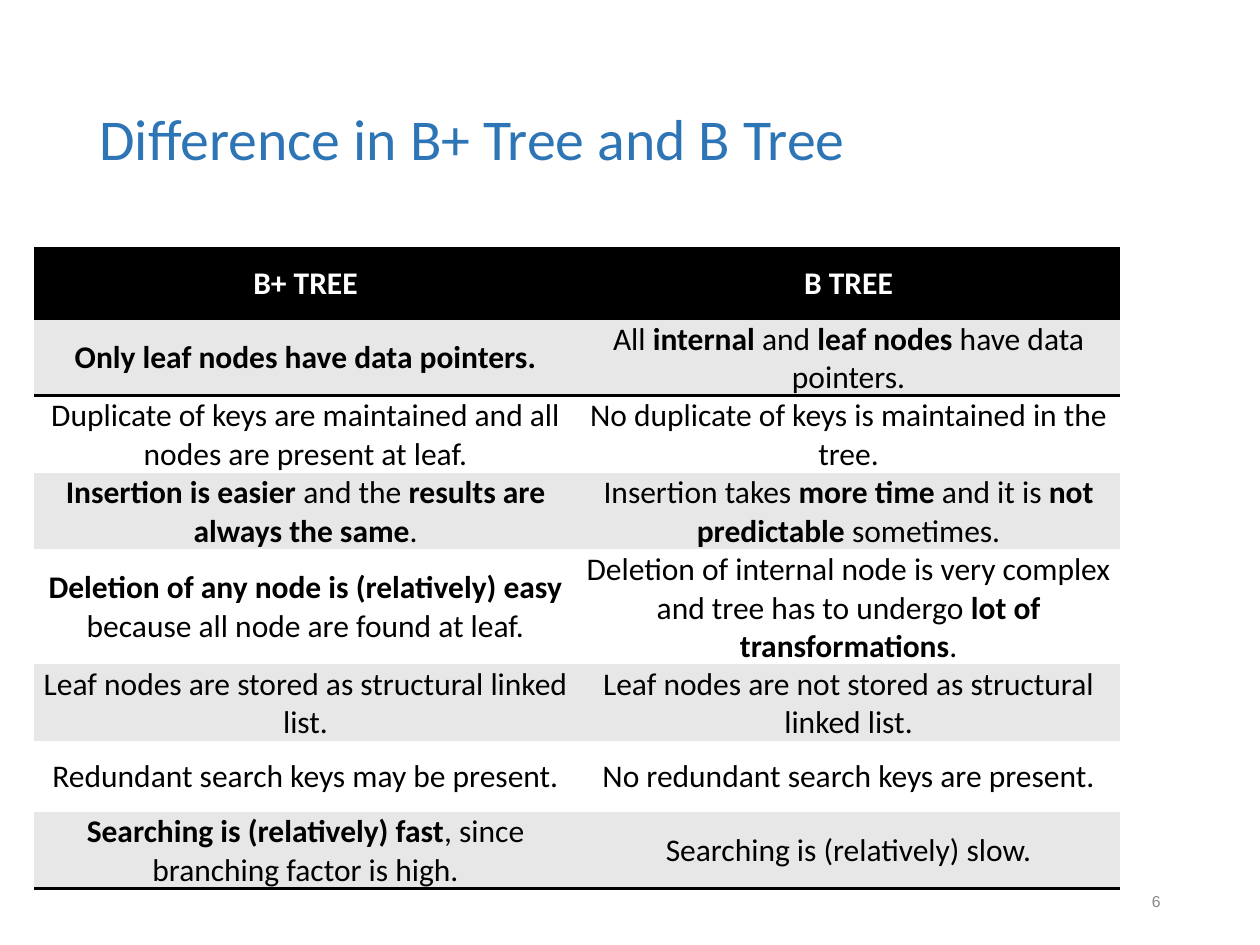
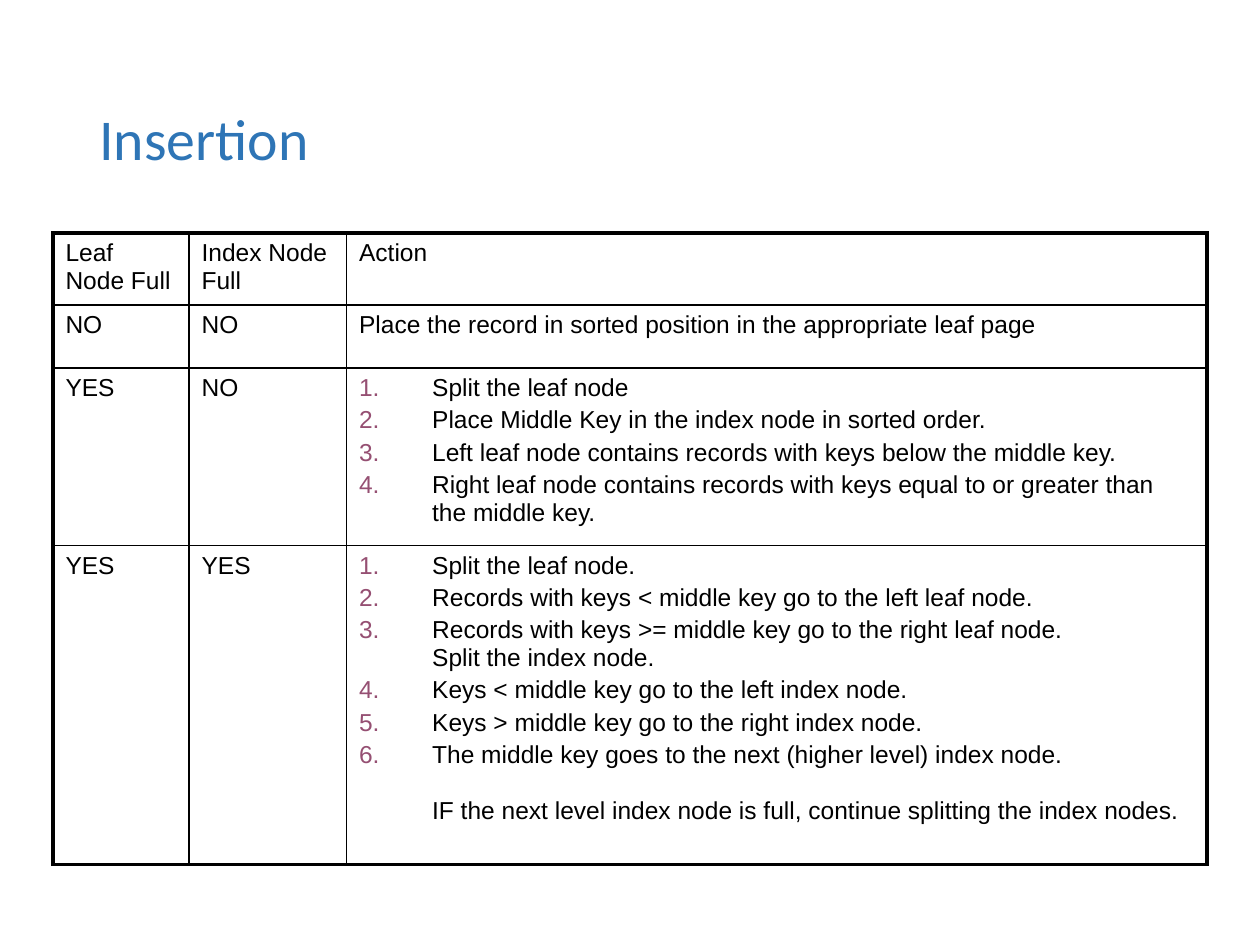
from lxml.etree import SubElement
from pptx import Presentation
from pptx.dml.color import RGBColor
from pptx.enum.text import MSO_ANCHOR, PP_ALIGN
from pptx.oxml.ns import qn
from pptx.util import Inches, Pt

COLORS = {"title": "2E75B6", "ink": "000000", "paper": "FFFFFF",
          "band": "E7E7E7", "number": "954F72", "page": "898989"}
TITLES = ["Difference in B+ Tree and B Tree", "Insertion"]


def add_text(p, text, size, font, color, bold=False):
    """Add runs to p; *stars* mark bold parts, a newline is a line break."""
    for i, part in enumerate(text.split("*")):
        for j, line in enumerate(part.split("\n")):
            if j:
                p.add_line_break()
            r = p.add_run()
            r.text = line
            r.font.size = Pt(size)
            r.font.name = font
            r.font.bold = bold or i % 2 == 1
            r.font.color.rgb = RGBColor.from_string(COLORS[color])


def style_cell(cell, fill, borders, margins):
    """Set margins, the left, right, top and bottom line widths, and the fill."""
    cell.margin_left, cell.margin_right, cell.margin_top, cell.margin_bottom = map(Inches, margins)
    tcPr = cell._tc.get_or_add_tcPr()
    for side, width in zip("LRTB", borders):
        ln = SubElement(tcPr, qn(f"a:ln{side}"), w=str(Pt(width)))
        if width:
            line_fill = SubElement(ln, qn("a:solidFill"))
            SubElement(line_fill, qn("a:srgbClr"), val=COLORS["ink"])
        else:
            SubElement(ln, qn("a:noFill"))
    cell.fill.solid()
    cell.fill.fore_color.rgb = RGBColor.from_string(COLORS[fill])


prs = Presentation()
prs.slide_width, prs.slide_height = Inches(10), Inches(7.5)

# Titles
for title in TITLES:
    s = prs.slides.add_slide(prs.slide_layouts[6])
    tf = s.shapes.add_textbox(Inches(0.69), Inches(0.4), Inches(8.62), Inches(1.45)).text_frame
    tf.word_wrap = True
    tf.vertical_anchor = MSO_ANCHOR.MIDDLE
    p = tf.paragraphs[0]
    p.line_spacing = 0.9
    add_text(p, title, 33, "Calibri", "title")
compare, insertion = prs.slides

# Comparison table
comparison = [
    ("B+ TREE", "B TREE"),
    ("*Only leaf nodes have data pointers.*",
     "All *internal* and *leaf nodes* have data pointers."),
    ("Duplicate of keys are maintained and all nodes are present at leaf.",
     "No duplicate of keys is maintained in the tree."),
    ("*Insertion is easier* and the *results are always the same*.",
     "Insertion takes *more time* and it is *not predictable* sometimes."),
    ("*Deletion of any node is (relatively) easy *because all node are found at leaf.",
     "Deletion of internal node is very complex and tree has to undergo "
     "*lot of transformations*."),
    ("Leaf nodes are stored as structural linked list.",
     "Leaf nodes are not stored as structural linked list."),
    ("Redundant search keys may be present.", "No redundant search keys are present."),
    ("*Searching is (relatively) fast*, since branching factor is high.",
     "Searching is (relatively) slow."),
]
heights = [0.56, 0.61, 0.61, 0.61, 0.91, 0.61, 0.56, 0.61]
table = compare.shapes.add_table(len(comparison), 2, Inches(0.27), Inches(1.97),
                                 Inches(8.62), Inches(sum(heights))).table
table.first_row = table.horz_banding = False
for col in table.columns:
    col.width = Inches(4.31)
ruled_below = (0, 1, len(comparison) - 1)
for i, texts in enumerate(comparison):
    table.rows[i].height = Inches(heights[i])
    fill = "ink" if i == 0 else "band" if i % 2 else "paper"
    top = 2 if i == 0 or i - 1 in ruled_below else 0
    bottom = 2 if i in ruled_below else 0
    for j, text in enumerate(texts):
        cell = table.cell(i, j)
        style_cell(cell, fill, (0, 0, top, bottom), (0.01, 0.01, 0.01, 0))
        cell.vertical_anchor = MSO_ANCHOR.MIDDLE
        p = cell.text_frame.paragraphs[0]
        p.alignment = PP_ALIGN.CENTER
        add_text(p, text, 18, "Calibri", "ink" if i else "paper", bold=i == 0)

# Page number
tf = compare.shapes.add_textbox(Inches(7.06), Inches(6.95), Inches(2.25), Inches(0.4)).text_frame
tf.word_wrap = True
tf.vertical_anchor = MSO_ANCHOR.MIDDLE
p = tf.paragraphs[0]
p.alignment = PP_ALIGN.RIGHT
add_text(p, "6", 9, "Arial", "page")

# Insertion table: a list in the last column holds numbered steps
split_leaf = [
    "Split the leaf node",
    "Place Middle Key in the index node in sorted order.",
    "Left leaf node contains records with keys below the middle key.",
    "Right leaf node contains records with keys equal to or greater than the middle key.",
]
split_both = [
    "Split the leaf node.",
    "Records with keys < middle key go to the left leaf node.",
    "Records with keys >= middle key go to the right leaf node. \nSplit the index node.",
    "Keys < middle key go to the left index node.",
    "Keys > middle key go to the right index node.",
    "The middle key goes to the next (higher level) index node.",
]
overflow = "IF the next level index node is full, continue splitting the index nodes."
cases = [
    ("Leaf Node Full", "Index Node Full", "Action"),
    ("NO", "NO", "Place the record in sorted position in the appropriate leaf page"),
    ("YES", "NO", split_leaf),
    ("YES", "YES", split_both),
]
widths = [1.08, 1.25, 6.83]
heights = [0.57, 0.5, 1.41, 2.53]
table = insertion.shapes.add_table(len(cases), len(widths), Inches(0.42), Inches(1.85),
                                   Inches(sum(widths)), Inches(sum(heights))).table
table.first_row = table.horz_banding = False
for col, width in zip(table.columns, widths):
    col.width = Inches(width)
last_row, last_col = len(cases) - 1, len(widths) - 1
for i, case in enumerate(cases):
    table.rows[i].height = Inches(heights[i])
    for j, content in enumerate(case):
        cell = table.cell(i, j)
        outer = (j == 0, j == last_col, i == 0, i == last_row)
        style_cell(cell, "paper", [2.25 if edge else 1 for edge in outer], (0.1, 0.1, 0.05, 0.05))
        tf = cell.text_frame
        if isinstance(content, str):
            add_text(tf.paragraphs[0], content, 14, "Arial", "ink")
            continue
        for k, step in enumerate(content):
            p = tf.add_paragraph() if k else tf.paragraphs[0]
            p.space_before = Pt(2.8 if k else 0)
            pPr = p._p.get_or_add_pPr()
            pPr.set("marL", str(Inches(0.58)))
            pPr.set("indent", str(-Inches(0.58)))
            SubElement(SubElement(pPr, qn("a:buClr")), qn("a:srgbClr"), val=COLORS["number"])
            SubElement(pPr, qn("a:buFont"), typeface="+mj-lt")
            SubElement(pPr, qn("a:buAutoNum"), type="arabicPeriod")
            add_text(p, step, 14, "Arial", "ink")

# Closing remark under the last steps
p = table.cell(last_row, last_col).text_frame.add_paragraph()
p.space_before = Pt(16)
pPr = p._p.get_or_add_pPr()
pPr.set("marL", str(Inches(0.58)))
pPr.set("indent", "0")
SubElement(pPr, qn("a:buNone"))
add_text(p, overflow, 14, "Arial", "ink")

prs.save("out.pptx")
